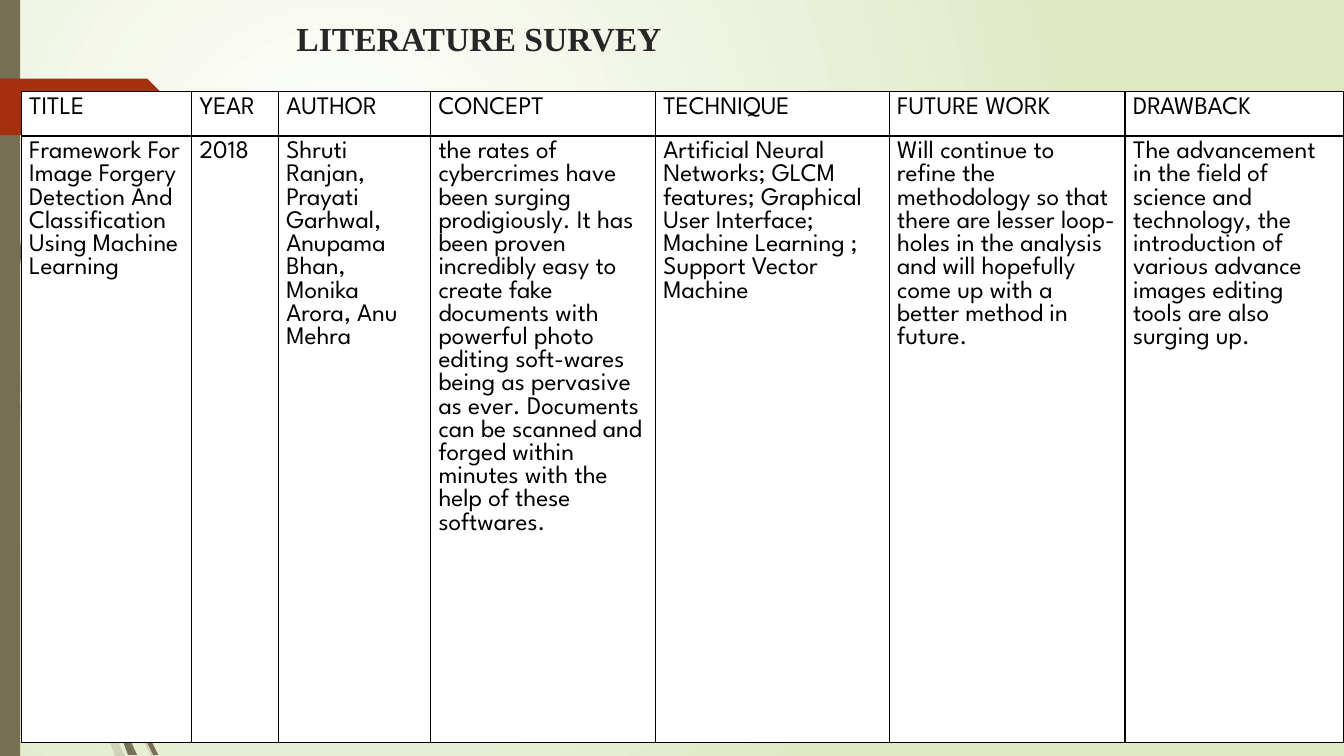
from dataclasses import dataclass

from pptx import Presentation
from pptx.dml.color import RGBColor
from pptx.enum.shapes import MSO_SHAPE
from pptx.enum.text import MSO_ANCHOR, PP_ALIGN
from pptx.oxml import parse_xml
from pptx.oxml.ns import nsdecls, qn
from pptx.util import Inches, Pt

RECTANGLE = MSO_SHAPE.RECTANGLE
LEFT = PP_ALIGN.LEFT
TOP = MSO_ANCHOR.TOP
TITLE_ONLY = 5


@dataclass(frozen=True)
class Theme:
    olive: str = "766F54"
    rust: str = "A53010"
    white: str = "FFFFFF"
    pale_green: str = "DFE8C4"
    black: str = "000000"
    title_colour: str = "262626"
    title_font: str = "Times New Roman"
    table_font: str = "League Spartan"
    title_size: int = 24
    table_size: int = 18
    border_width: int = 1


COLUMN_WIDTHS = (1.69, 0.86, 1.51, 2.23, 2.32, 2.34, 2.17)
ROW_HEIGHTS = (0.44, 6.02)
SURVEY = (
    ("TITLE", "YEAR", "AUTHOR", "CONCEPT", "TECHNIQUE", "FUTURE WORK", "DRAWBACK"),
    (
        "Framework For Image Forgery Detection And Classification Using Machine Learning",
        "2018",
        "Shruti Ranjan, Prayati Garhwal, Anupama Bhan, Monika Arora, Anu Mehra",
        "the rates of cybercrimes have been surging prodigiously. It has been proven "
        "incredibly easy to create fake documents with powerful photo editing soft-wares "
        "being as pervasive as ever. Documents can be scanned and forged within minutes "
        "with the help of these softwares.",
        "Artificial Neural Networks; GLCM features; Graphical User Interface; "
        "Machine Learning ; Support Vector Machine",
        "Will continue to refine the methodology so that there are lesser loop-holes in "
        "the analysis and will hopefully come up with a better method in future.",
        "The advancement in the field of science and technology, the introduction of "
        "various advance images editing tools are also surging up.",
    ),
)

PALE_STRANDS = (
    ((0.58, 5.22), (0.84, 5.99), (0.85, 5.86), (0.62, 5.2), (0.14, 3.45), (0.17, 3.76)),
    ((0.88, 5.96), (0.88, 6.1), (1.23, 6.94), (1.5, 7.5), (1.55, 7.5), (1.27, 6.92), (0.92, 6.07)),
    ((1.05, 7.11), (1.19, 7.5), (1.24, 7.5)),
    ((0.93, 6.83), (0.7, 6.19), (0.31, 4.69), (0.17, 3.76), (0.11, 3.5), (0.28, 4.7),
     (0.65, 6.21), (0.92, 6.93), (1.01, 7.14)),
    ((1.01, 7.14), (1.14, 7.5), (1.19, 7.5)),
    ((0.93, 6.83), (0.99, 7.07), (1.19, 7.5), (1.05, 7.11)),
)
DARK_STRANDS = (
    ((0.03, 0), (0.07, 1.1), (0.17, 2.33), (0.33, 3.55), (0.57, 4.81), (0.55, 4.53),
     (0.36, 3.55), (0.19, 2.32), (0.08, 1.09), (0.04, 0)),
    ((1.1, 6.41), (1.11, 6.56), (1.32, 7.08), (1.52, 7.49), (1.57, 7.49), (1.36, 7.06), (1.13, 6.49)),
    ((1.22, 7.19), (1.33, 7.49), (1.36, 7.49)),
    ((1.17, 7.22), (1.27, 7.49), (1.31, 7.49)),
    ((1.1, 6.91), (1.16, 7.17), (1.3, 7.49), (1.33, 7.49), (1.22, 7.19)),
)
TAG = ((0, 0.78), (1.46, 0.78), (1.74, 1.06), (1.46, 1.34), (0, 1.34))


def write_text(frame, text, *, font, size, colour, bold=False):
    frame.word_wrap = True
    frame.vertical_anchor = TOP
    para = frame.paragraphs[0]
    para.alignment = LEFT
    span = para.add_run()
    span.text = text
    span.font.name = font
    span.font.size = Pt(size)
    span.font.bold = bold
    span.font.color.rgb = RGBColor.from_string(colour)


class SlideBuilder:
    def __init__(self, slide, theme):
        self.slide = slide
        self.theme = theme

    def background(self, inner, outer):
        """Fill the slide with a round gradient centred in its upper left."""
        fill = self.slide.background.fill
        fill.gradient()
        for stop, colour, position in zip(fill.gradient_stops, (inner, outer), (0, 1)):
            stop.color.rgb = RGBColor.from_string(colour)
            stop.position = position
        linear = self.slide.element.find(".//" + qn("a:lin"))
        linear.getparent().replace(linear, parse_xml(
            f'<a:path {nsdecls("a")} path="circle">'
            '<a:fillToRect l="50000" t="50000" r="100000" b="100000"/></a:path>'))

    def paint(self, shape, colour, opacity=100):
        shape.shadow.inherit = False
        shape.line.fill.background()
        shape.fill.solid()
        shape.fill.fore_color.rgb = RGBColor.from_string(colour)
        if opacity < 100:
            tint = shape.element.spPr.find(qn("a:solidFill"))[0]
            tint.append(parse_xml(f'<a:alpha {nsdecls("a")} val="{opacity * 1000}"/>'))

    def rectangle(self, left, top, width, height, colour):
        box = self.slide.shapes.add_shape(
            RECTANGLE, Inches(left), Inches(top), Inches(width), Inches(height))
        self.paint(box, colour)

    def outline(self, points, colour, opacity=100):
        start, *rest = [(Inches(x), Inches(y)) for x, y in points]
        builder = self.slide.shapes.build_freeform(*start)
        builder.add_line_segments(rest, close=True)
        self.paint(builder.convert_to_shape(), colour, opacity)

    def title(self, text, left, top, width, height):
        box = self.slide.shapes.title
        box.left, box.top = Inches(left), Inches(top)
        box.width, box.height = Inches(width), Inches(height)
        write_text(box.text_frame, text, font=self.theme.title_font,
                   size=self.theme.title_size, colour=self.theme.title_colour, bold=True)

    def table(self, rows, left, top, widths, heights):
        frame = self.slide.shapes.add_table(
            len(rows), len(widths), Inches(left), Inches(top),
            Inches(sum(widths)), Inches(sum(heights)))
        table = frame.table
        for column, width in zip(table.columns, widths):
            column.width = Inches(width)
        for row, height, texts in zip(table.rows, heights, rows):
            row.height = Inches(height)
            for cell, text in zip(row.cells, texts):
                self.cell(cell, text)

    def cell(self, cell, text):
        cell.margin_left, cell.margin_right = Inches(0.08), Inches(0.07)
        cell.margin_top = cell.margin_bottom = Inches(0.05)
        properties = cell._tc.get_or_add_tcPr()
        for side in ("lnL", "lnR", "lnT", "lnB"):
            properties.append(parse_xml(
                f'<a:{side} {nsdecls("a")} w="{Pt(self.theme.border_width)}"><a:solidFill>'
                f'<a:srgbClr val="{self.theme.black}"/></a:solidFill></a:{side}>'))
        cell.fill.solid()
        cell.fill.fore_color.rgb = RGBColor.from_string(self.theme.white)
        write_text(cell.text_frame, text, font=self.theme.table_font,
                   size=self.theme.table_size, colour=self.theme.black)


def main():
    deck = Presentation()
    deck.slide_width, deck.slide_height = Inches(13.33), Inches(7.5)
    theme = Theme()
    page = SlideBuilder(deck.slides.add_slide(deck.slide_layouts[TITLE_ONLY]), theme)
    page.background(theme.white, theme.pale_green)
    for strand in PALE_STRANDS:
        page.outline(strand, theme.olive, opacity=20)
    for strand in DARK_STRANDS:
        page.outline(strand, theme.olive)
    page.rectangle(0, 0, 0.2, 7.5, theme.olive)
    page.outline(TAG, theme.rust)
    page.title("LITERATURE SURVEY", 2.84, 0.13, 9.75, 0.55)
    page.table(SURVEY, 0.21, 0.91, COLUMN_WIDTHS, ROW_HEIGHTS)
    deck.save("out.pptx")


if __name__ == "__main__":
    main()
